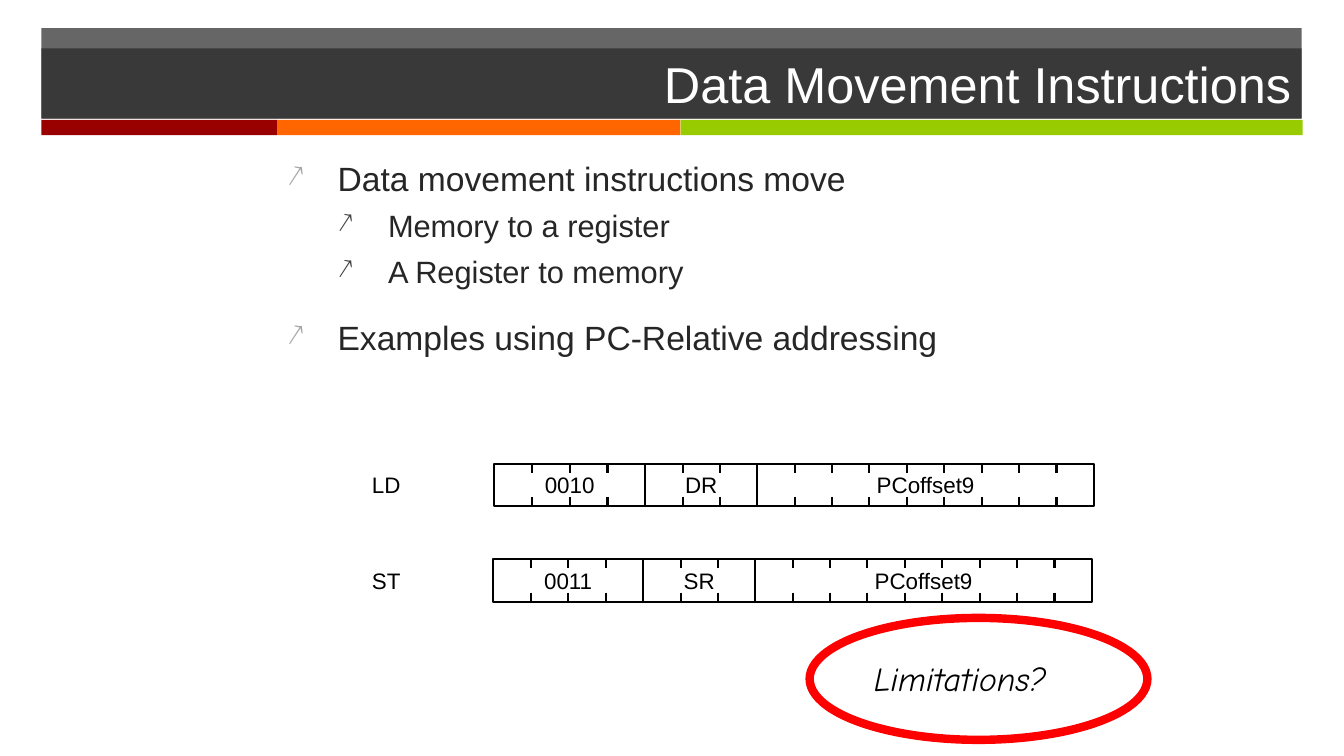
from lxml import etree
from pptx import Presentation
from pptx.dml.color import RGBColor
from pptx.enum.shapes import MSO_CONNECTOR, MSO_SHAPE
from pptx.enum.text import MSO_ANCHOR, MSO_AUTO_SIZE, PP_ALIGN
from pptx.oxml.ns import qn
from pptx.util import Inches, Pt

RECT, OVAL = MSO_SHAPE.RECTANGLE, MSO_SHAPE.OVAL
STRAIGHT = MSO_CONNECTOR.STRAIGHT
LEFT, CENTER, RIGHT = PP_ALIGN.LEFT, PP_ALIGN.CENTER, PP_ALIGN.RIGHT
MIDDLE, NO_FIT = MSO_ANCHOR.MIDDLE, MSO_AUTO_SIZE.NONE
FIT_SHAPE = MSO_AUTO_SIZE.SHAPE_TO_FIT_TEXT

COLORS = {"bar": "262626", "white": "FFFFFF", "black": "000000",
          "red": "FF0000", "maroon": "990000", "orange": "FF6600",
          "green": "99CC00", "bullet": "A6A6A6", "sub_bullet": "404040"}
BAR_ALPHA = 70
FIELD_H, TICK_H = 0.42, 0.09

# Indent, space before, size and bullet colour of each outline level
LEVELS = [{"indent": 0.5, "before": 20, "size": 24, "bullet": "bullet"},
          {"indent": 1, "before": 6, "size": 22, "bullet": "sub_bullet"}]
OUTLINE = [(0, "Data movement instructions move"),
           (1, "Memory to a register"),
           (1, "A Register to memory"),
           (0, "Examples using PC-Relative addressing")]

# Name, left, top, and fields as (text, bits, width, label width)
INSTRUCTIONS = [
    ("LD", 4.9, 4.6, [("0010", 4, 1.5, 0.69), ("DR", 3, 1.11, 0.52),
                      ("PCoffset9", 9, 3.34, 1.18)]),
    ("ST", 4.89, 5.55, [("0011", 4, 1.49, 0.69), ("SR", 3, 1.11, 0.51),
                        ("PCoffset9", 9, 3.34, 1.18)])]


def rgb(name):
    return RGBColor.from_string(COLORS[name])


def set_font(r, color, **values):
    for key, value in values.items():
        setattr(r.font, key, value)
    r.font.color.rgb = rgb(color)


def fill_solid(sp, color, alpha=None):
    sp.fill.solid()
    sp.fill.fore_color.rgb = rgb(color)
    if alpha:
        clr = sp._element.spPr.find(qn("a:solidFill"))[0]
        etree.SubElement(clr, qn("a:alpha"), val=str(alpha * 1000))


def add_box(shapes, kind, box, fill=None, line=None, weight=1.5, alpha=None):
    sp = shapes.add_shape(kind, *map(Inches, box))
    sp.shadow.inherit = False
    if fill:
        fill_solid(sp, fill, alpha)
    else:
        sp.fill.background()
    if line:
        sp.line.color.rgb = rgb(line)
        sp.line.width = Pt(weight)
    else:
        sp.line.fill.background()
    return sp


def add_label(shapes, text, box, align=LEFT, **font):
    sp = shapes.add_textbox(*map(Inches, box))
    tf = sp.text_frame
    tf.word_wrap = False
    tf.auto_size = FIT_SHAPE
    p = tf.paragraphs[0]
    p.alignment = align
    r = p.add_run()
    r.text = text
    set_font(r, "black", **font)


def add_tick(shapes, x, top):
    line = shapes.add_connector(STRAIGHT, Inches(x), Inches(top),
                                Inches(x), Inches(top + TICK_H))
    line.line.color.rgb = rgb("black")
    line.line.width = Pt(1.5)
    etree.SubElement(line._element.spPr, qn("a:effectLst"))


def add_field(shapes, text, bits, left, top, width, label_w):
    add_box(shapes, RECT, (left, top, width, FIELD_H), line="black")
    for bit in range(1, bits):
        x = left + width * bit / bits
        add_tick(shapes, x, top)
        add_tick(shapes, x, top + FIELD_H - TICK_H)
    add_label(shapes, text,
              (left + (width - label_w) / 2, top + 0.03, label_w, 0.37),
              CENTER, size=Pt(16), name="Arial")


def add_instruction(s, name, left, top, fields):
    shapes = s.shapes.add_group_shape().shapes
    add_label(shapes, name, (3.59, top + 0.03, 0.49, 0.37),
              size=Pt(16), name="Arial")
    for text, bits, width, label_w in fields:
        add_field(shapes, text, bits, left, top, width, label_w)
        left += width


def add_bullet(p, color):
    pPr = p._p.get_or_add_pPr()
    clr = etree.SubElement(pPr, qn("a:buClr"))
    etree.SubElement(clr, qn("a:srgbClr"), val=COLORS[color])
    etree.SubElement(pPr, qn("a:buSzPct"), val="90000")
    etree.SubElement(pPr, qn("a:buChar"), char="↗")


def add_outline(s, items, box):
    tf = s.shapes.add_textbox(*map(Inches, box)).text_frame
    tf.word_wrap = True
    for i, (depth, text) in enumerate(items):
        level = LEVELS[depth]
        p = tf.paragraphs[0] if i == 0 else tf.add_paragraph()
        p.level = depth
        if i:
            p.space_before = Pt(level["before"])
        pPr = p._p.get_or_add_pPr()
        pPr.set("marL", str(Inches(level["indent"])))
        pPr.set("indent", str(Inches(-0.5)))
        add_bullet(p, level["bullet"])
        r = p.add_run()
        r.text = text
        set_font(r, "bar", size=Pt(level["size"]), name="Arial")


def set_title(s, text, box):
    sp = s.shapes.title
    sp.left, sp.top, sp.width, sp.height = map(Inches, box)
    fill_solid(sp, "bar", BAR_ALPHA)
    tf = sp.text_frame
    tf.auto_size = NO_FIT
    tf.vertical_anchor = MIDDLE
    p = tf.paragraphs[0]
    p.alignment = RIGHT
    r = p.add_run()
    r.text = text
    set_font(r, "white", size=Pt(36), name="Arial")


def main():
    prs = Presentation()
    prs.slide_width, prs.slide_height = Inches(13.33), Inches(7.5)
    s = prs.slides.add_slide(prs.slide_layouts[5])

    # Header: the wide bar lies behind the title, the strips below it
    set_title(s, "Data Movement Instructions", (0.41, 0.48, 12.5, 0.7))
    bar = add_box(s.shapes, RECT, (0.41, 0.28, 12.5, 0.89), "bar",
                  alpha=BAR_ALPHA)
    s.shapes.title._element.addprevious(bar._element)
    left = 0.41
    for color, width in (("maroon", 2.34), ("orange", 4), ("green", 6.17)):
        add_box(s.shapes, RECT, (left, 1.19, width, 0.15), color)
        left += width

    # Outline
    add_outline(s, OUTLINE, (2.75, 1.52, 9.25, 5.36))

    # Instruction formats
    for instruction in INSTRUCTIONS:
        add_instruction(s, *instruction)

    # Circled question
    add_label(s.shapes, "Limitations?", (8.57, 6.48, 2.1, 0.5),
              size=Pt(24), name="Comic Neue", italic=True)
    add_box(s.shapes, OVAL, (8.03, 6.13, 3.35, 1.21), line="red", weight=6)

    prs.save("out.pptx")


if __name__ == "__main__":
    main()
